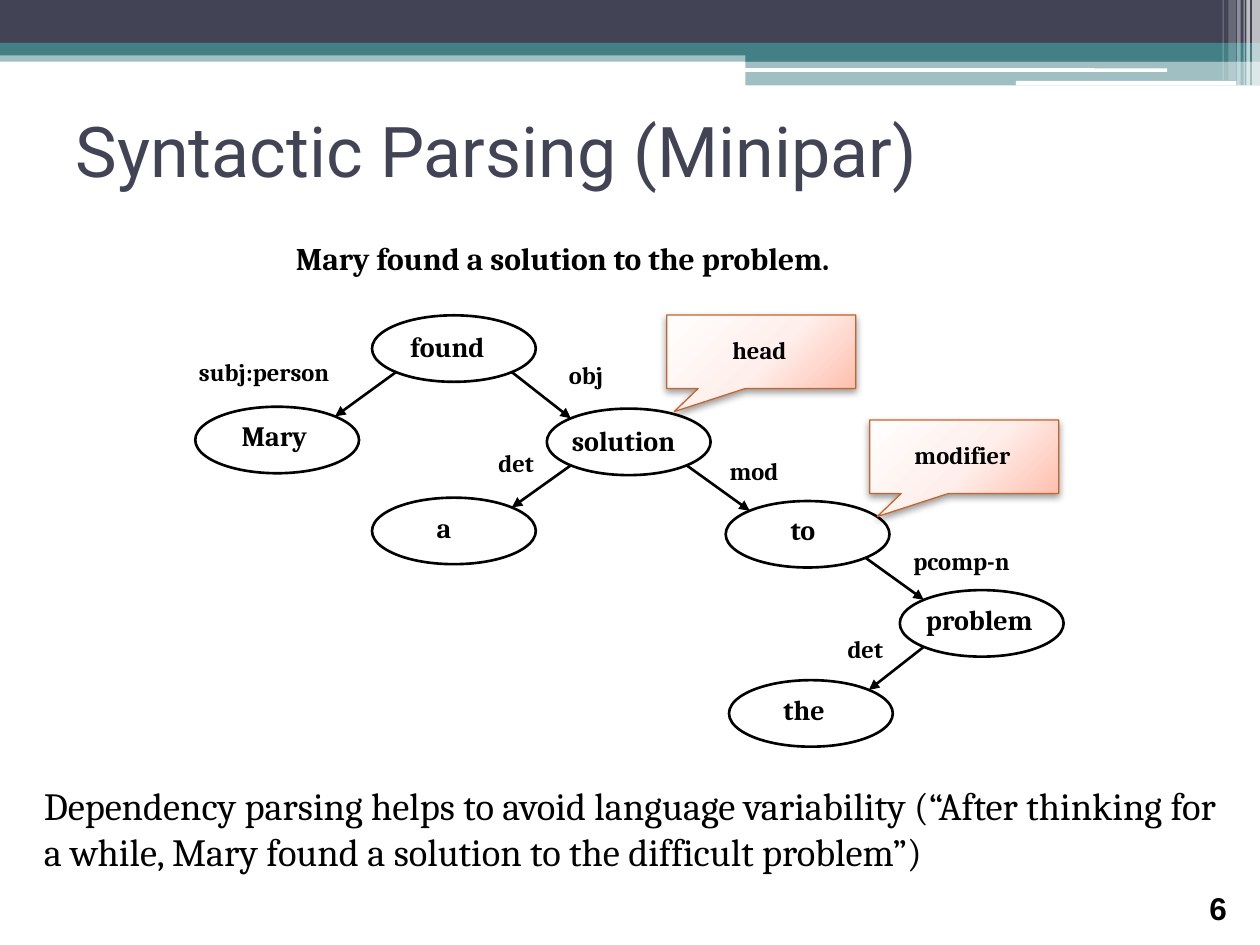
"""Build a slide that shows the dependency tree of a sentence."""
import math

import lxml.etree
import pptx
import pptx.dml.color
import pptx.enum.shapes
import pptx.enum.text
import pptx.oxml
import pptx.util

Pt = pptx.util.Pt
SHAPE = pptx.enum.shapes.MSO_SHAPE
ALIGN = pptx.enum.text.PP_ALIGN
NAMESPACE = 'xmlns:a="http://schemas.openxmlformats.org/drawingml/2006/main"'
DARK, TEAL, WHITE, BLACK = "424456", "438086", "FFFFFF", "000000"

TITLE = "Syntactic Parsing (Minipar)"
SENTENCE = "Mary found a solution to the problem."
REMARK = ("Dependency parsing helps to avoid language variability (“After thinking for "
          "a while, Mary found a solution to the difficult problem”)")
PAGE_NUMBER = "6"

# left, top, width, height, colour, opacity
BANDS = [
    (0, 28.8, 720, 6.5, TEAL, 50),
    (0, 0, 720, 24.5, DARK, 100),
    (0, 24.5, 720, 7.2, TEAL, 100),
    (426, 28, 294, 7.2, TEAL, 100),
    (426, 34.8, 294, 14, TEAL, 50),
]
BARS = [(425.5, 39, 241.5, 2), (580.5, 46.2, 126, 2.6)]
STRIPES = [
    (715.5, 4.5, 49, 65), (712.2, 2, 49, 65), (710.6, 0.7, 49, 60),
    (707, 2, 49, 40), (702, 4.3, 46, 20), (698.6, 0.7, 46, 30),
]
NODE_WIDTH, NODE_HEIGHT = 93.6, 38
# word: node left and top, text left, top and width
NODES = {
    "found": (212.6, 180.2, 227.5, 185, 72),
    "Mary": (111.6, 232.4, 131, 235.5, 72),
    "solution": (312.5, 233.5, 319.7, 238.3, 90),
    "a": (212.6, 284.4, 242.5, 288, 36),
    "to": (414.7, 286.3, 444.7, 289.3, 42),
    "the": (416.6, 388.7, 440.6, 392.4, 42),
    "problem": (514.2, 337.2, 522, 340.6, 93),
}
# head, modifier, relation, label left, top and width
EDGES = [
    ("found", "Mary", "subj:person", 106.6, 200.3, 108),
    ("found", "solution", "obj", 318, 202.3, 48),
    ("solution", "a", "det", 277.7, 252.3, 48),
    ("solution", "to", "mod", 409.8, 257, 48),
    ("to", "problem", "pcomp-n", 514.8, 308.3, 90),
    ("problem", "the", "det", 477.2, 358.5, 48),
]
CALLOUTS = [("head", 381, 180), ("modifier", 497, 240)]

GRADIENT = f"""<a:gradFill {NAMESPACE} rotWithShape="1"><a:gsLst>
<a:gs pos="0"><a:srgbClr val="FFFEFD"/></a:gs>
<a:gs pos="55000"><a:srgbClr val="FFEFEC"/></a:gs>
<a:gs pos="100000"><a:srgbClr val="FFBFAE"/></a:gs></a:gsLst>
<a:path path="circle"><a:fillToRect l="-40000" t="-90000" r="140000" b="190000"/></a:path>
</a:gradFill>"""
SHADOW = f"""<a:effectLst {NAMESPACE}>
<a:outerShdw blurRad="{Pt(4.1)}" dist="{Pt(2)}" dir="5400000" rotWithShape="0">
<a:srgbClr val="000000"><a:alpha val="40000"/></a:srgbClr></a:outerShdw></a:effectLst>"""


def paint(target, colour):
    target.rgb = pptx.dml.color.RGBColor.from_string(colour)


def add_shape(page, kind, left, top, width, height, fill=None, opacity=100, line=None, weight=1.5):
    shape = page.shapes.add_shape(kind, Pt(left), Pt(top), Pt(width), Pt(height))
    shape.shadow.inherit = False
    if fill:
        shape.fill.solid()
        paint(shape.fill.fore_color, fill)
        if opacity < 100:
            colour = shape._element.spPr.find(".//" + pptx.oxml.ns.qn("a:srgbClr"))
            alpha = lxml.etree.SubElement(colour, pptx.oxml.ns.qn("a:alpha"))
            alpha.set("val", str(opacity * 1000))
    else:
        shape.fill.background()
    if line:
        paint(shape.line.color, line)
        shape.line.width = Pt(weight)
    else:
        shape.line.fill.background()
    return shape


def set_text(box, text, size, font="Cambria", colour=BLACK, bold=False, align=ALIGN.LEFT):
    box.text_frame.text = text
    para = box.text_frame.paragraphs[0]
    para.alignment = align
    span = para.runs[0]
    span.font.size, span.font.name, span.font.bold = Pt(size), font, bold
    paint(span.font.color, colour)
    return para


def add_text(page, text, left, top, width, height, size, font="Cambria", bold=True, align=ALIGN.LEFT):
    box = page.shapes.add_textbox(Pt(left), Pt(top), Pt(width), Pt(height))
    box.text_frame.word_wrap = True
    return set_text(box, text, size, font, bold=bold, align=align)


def rim_point(word, right, bottom):
    left, top = NODES[word][:2]
    reach = math.sqrt(0.5)
    return (Pt(left + NODE_WIDTH / 2 * (1 + reach * right)),
            Pt(top + NODE_HEIGHT / 2 * (1 + reach * bottom)))


def add_edge(page, head, modifier):
    side = 1 if NODES[modifier][0] > NODES[head][0] else -1
    edge = page.shapes.add_connector(pptx.enum.shapes.MSO_CONNECTOR.STRAIGHT,
                                     *rim_point(head, side, 1), *rim_point(modifier, -side, -1))
    paint(edge.line.color, BLACK)
    edge.line.width = Pt(1.5)
    arrow = lxml.etree.SubElement(edge.line._get_or_add_ln(), pptx.oxml.ns.qn("a:tailEnd"))
    arrow.set("type", "triangle")
    lxml.etree.SubElement(edge._element.spPr, pptx.oxml.ns.qn("a:effectLst"))


def add_callout(page, text, left, top):
    callout = add_shape(page, SHAPE.RECTANGULAR_CALLOUT, left, top, 108, 42,
                        fill=WHITE, line="C4652D", weight=0.75)
    callout.adjustments[0], callout.adjustments[1] = -0.46, 0.815
    properties = callout._element.spPr
    for tag, markup in (("a:solidFill", GRADIENT), ("a:effectLst", SHADOW)):
        properties.replace(properties.find(pptx.oxml.ns.qn(tag)), pptx.oxml.parse_xml(markup))
    add_text(page, text, left + 2, top + 8, 102, 24.5, 14, align=ALIGN.CENTER)


def main():
    deck = pptx.Presentation()
    deck.slide_width, deck.slide_height = Pt(720), Pt(540)
    page = deck.slides.add_slide(deck.slide_layouts[5])

    for left, top, width, height, colour, opacity in BANDS:
        add_shape(page, SHAPE.RECTANGLE, left, top, width, height, colour, opacity)
    for bar in BARS:
        add_shape(page, SHAPE.ROUNDED_RECTANGLE, *bar, WHITE)
    for left, width, height, opacity in STRIPES:
        add_shape(page, SHAPE.RECTANGLE, left, 0, width, height, WHITE, opacity)

    title = page.shapes.title
    title.left, title.top, title.width, title.height = Pt(36), Pt(43.2), Pt(648), Pt(84.2)
    title.text_frame.vertical_anchor = pptx.enum.text.MSO_ANCHOR.MIDDLE
    set_text(title, TITLE, 40, "Roboto", DARK)

    for word, (left, top, text_left, text_top, text_width) in NODES.items():
        add_shape(page, SHAPE.OVAL, left, top, NODE_WIDTH, NODE_HEIGHT, line=BLACK)
        add_text(page, word, text_left, text_top, text_width, 26.6, 16)
    for head, modifier, relation, left, top, width in EDGES:
        add_edge(page, head, modifier)
        add_text(page, relation, left, top, width, 24.5, 14)
    for callout in CALLOUTS:
        add_callout(page, *callout)

    add_text(page, SENTENCE, 162, 129, 390, 33, 18).line_spacing = 1.2
    add_text(page, REMARK, 18, 443.5, 684, 60.5, 22, bold=False)
    add_text(page, PAGE_NUMBER, 684, 504.7, 36, 29, 18, "Arial")
    deck.save("out.pptx")


if __name__ == "__main__":
    main()
